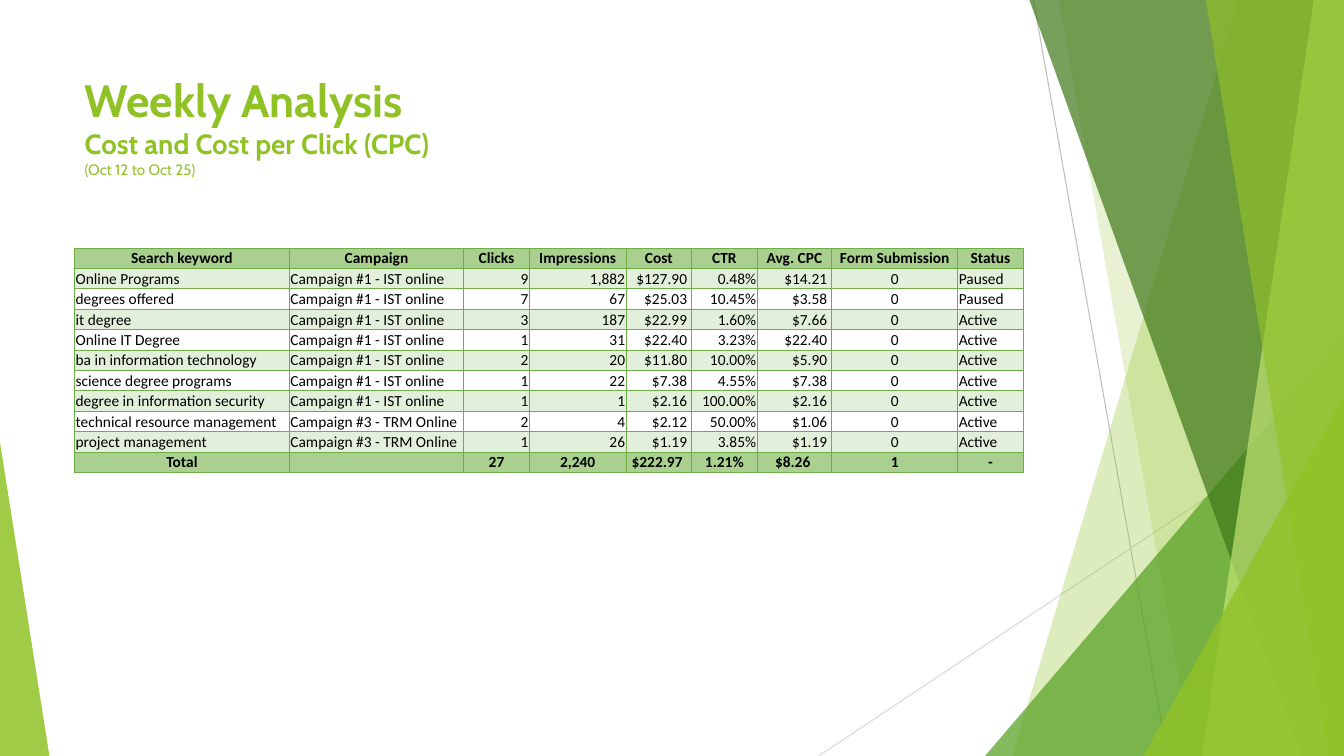
from lxml import etree
from pptx import Presentation
from pptx.dml.color import RGBColor
from pptx.enum.shapes import MSO_CONNECTOR, MSO_SHAPE
from pptx.enum.text import MSO_ANCHOR, MSO_AUTO_SIZE, PP_ALIGN
from pptx.oxml.ns import qn
from pptx.util import Inches, Pt

LEFT, CENTER, RIGHT = PP_ALIGN.LEFT, PP_ALIGN.CENTER, PP_ALIGN.RIGHT
TOP, MIDDLE = MSO_ANCHOR.TOP, MSO_ANCHOR.MIDDLE
TRIANGLE = MSO_SHAPE.ISOSCELES_TRIANGLE
STRAIGHT = MSO_CONNECTOR.STRAIGHT
NO_AUTOFIT = MSO_AUTO_SIZE.NONE
TITLE_ONLY = 5
WIDTH, HEIGHT = 13.33, 7.5

COLORS = {
    "lime": "90C226", "green": "54A021", "forest": "3F7819", "pale": "C0E474",
    "gray": "BFBFBF", "light_gray": "D9D9D9", "black": "000000",
    "band": "A9D08E", "stripe": "E2EFDA", "border": "70AD47",
}

TITLE_LINES = [
    ("Weekly Analysis", 32.4, True),
    ("Cost and Cost per Click (CPC)", 19.8, True),
    ("(Oct 12 to Oct 25)", 10.8, False),
]

IST, TRM = "Campaign #1 - IST online", "Campaign #3 - TRM Online"
HEADER = ["Search keyword", "Campaign", "Clicks", "Impressions", "Cost", "CTR",
          "Avg. CPC", "Form Submission", "Status"]
KEYWORDS = [
    ["Online Programs", IST, "9", "1,882", "$127.90 ", "0.48%", "$14.21 ", "0", "Paused"],
    ["degrees offered", IST, "7", "67", "$25.03 ", "10.45%", "$3.58 ", "0", "Paused"],
    ["it degree", IST, "3", "187", "$22.99 ", "1.60%", "$7.66 ", "0", "Active"],
    ["Online IT Degree", IST, "1", "31", "$22.40 ", "3.23%", "$22.40 ", "0", "Active"],
    ["ba in information technology", IST, "2", "20", "$11.80 ", "10.00%", "$5.90 ", "0", "Active"],
    ["science degree programs", IST, "1", "22", "$7.38 ", "4.55%", "$7.38 ", "0", "Active"],
    ["degree in information security", IST, "1", "1", "$2.16 ", "100.00%", "$2.16 ", "0", "Active"],
    ["technical resource management", TRM, "2", "4", "$2.12 ", "50.00%", "$1.06 ", "0", "Active"],
    ["project management", TRM, "1", "26", "$1.19 ", "3.85%", "$1.19 ", "0", "Active"],
]
TOTAL = ["Total", "", "27", "2,240", "$222.97 ", "1.21%", "$8.26 ", "1", "-"]
COLUMN_WIDTHS = [2.13, 1.73, 0.65, 0.96, 0.65, 0.65, 0.74, 1.25, 0.65]
COLUMN_ALIGNS = [LEFT, LEFT, RIGHT, RIGHT, RIGHT, RIGHT, RIGHT, CENTER, LEFT]


class SlideBuilder:
    title_font = "Cabin"
    table_font = "Calibri"
    table_size = 11
    hairline = 0.75
    border_width = 0.5

    def __init__(self, slide):
        self.slide = slide
        self.shapes = slide.shapes

    def color(self, name):
        return RGBColor.from_string(COLORS[name])

    def run(self, paragraph, text, font, size, color, bold):
        run = paragraph.add_run()
        run.text = text
        run.font.name = font
        run.font.size = Pt(size)
        run.font.bold = bold
        run.font.color.rgb = self.color(color)

    def line(self, start, end, color):
        line = self.shapes.add_connector(STRAIGHT, *map(Inches, start + end))
        line.line.color.rgb = self.color(color)
        line.line.width = Pt(self.hairline)
        etree.SubElement(line._element.spPr, qn("a:effectLst"))

    def paint(self, shape, color, opacity):
        """Give a shape a translucent fill without outline or shadow."""
        shape.shadow.inherit = False
        shape.line.fill.background()
        shape.fill.solid()
        shape.fill.fore_color.rgb = self.color(color)
        tint = shape._element.spPr.find(qn("a:solidFill"))[0]
        etree.SubElement(tint, qn("a:alpha"), val=str(opacity * 1000))

    def shard(self, top_x, bottom_x, color, opacity):
        """Fill from a slanted edge to the right side of the slide."""
        corners = [(WIDTH, 0), (WIDTH, HEIGHT), (bottom_x, HEIGHT)]
        outline = self.shapes.build_freeform(Inches(top_x), 0)
        outline.add_line_segments([(Inches(x), Inches(y)) for x, y in corners])
        self.paint(outline.convert_to_shape(), color, opacity)

    def corner_triangle(self, left, top, width, apex, color, opacity):
        """Draw a triangle that stands on the bottom of the slide."""
        triangle = self.shapes.add_shape(
            TRIANGLE, *map(Inches, (left, top, width, HEIGHT - top)))
        triangle.adjustments[0] = apex
        self.paint(triangle, color, opacity)

    def title(self, lines, left, top, width, height):
        title = self.shapes.title
        title.left, title.top, title.width, title.height = map(
            Inches, (left, top, width, height))
        frame = title.text_frame
        frame.auto_size = NO_AUTOFIT
        frame.word_wrap = True
        frame.vertical_anchor = TOP
        paragraph = frame.paragraphs[0]
        paragraph.alignment = LEFT
        for index, (text, size, bold) in enumerate(lines):
            if index:
                paragraph.add_line_break()
            self.run(paragraph, text, self.title_font, size, "lime", bold)

    def cell(self, cell, text, align, fill, bold):
        cell.margin_left = cell.margin_right = cell.margin_top = Inches(0.01)
        cell.margin_bottom = 0
        cell.vertical_anchor = MIDDLE
        paragraph = cell.text_frame.paragraphs[0]
        paragraph.alignment = align
        if text:
            self.run(paragraph, text, self.table_font, self.table_size, "black", bold)
        else:
            etree.SubElement(paragraph._p, qn("a:endParaRPr"),
                             sz=str(self.table_size * 100))
        properties = cell._tc.get_or_add_tcPr()
        for side in ("lnL", "lnR", "lnT", "lnB"):
            border = etree.SubElement(properties, qn(f"a:{side}"),
                                      w=str(Pt(self.border_width)))
            solid = etree.SubElement(border, qn("a:solidFill"))
            etree.SubElement(solid, qn("a:srgbClr"), val=COLORS["border"])
        if fill:
            cell.fill.solid()
            cell.fill.fore_color.rgb = self.color(fill)
        else:
            cell.fill.background()

    def table(self, rows, left, top, height):
        table = self.shapes.add_table(
            len(rows), len(COLUMN_WIDTHS), Inches(left), Inches(top),
            Inches(sum(COLUMN_WIDTHS)), Inches(height)).table
        table.first_row = table.horz_banding = False
        for column, width in zip(table.columns, COLUMN_WIDTHS):
            column.width = Inches(width)
        for r, row in enumerate(rows):
            strong = r in (0, len(rows) - 1)
            fill = "band" if strong else "stripe" if r % 2 else None
            for c, text in enumerate(row):
                align = CENTER if strong else COLUMN_ALIGNS[c]
                self.cell(table.cell(r, c), text, align, fill, strong)


def main():
    deck = Presentation()
    deck.slide_width, deck.slide_height = Inches(WIDTH), Inches(HEIGHT)
    page = SlideBuilder(deck.slides.add_slide(deck.slide_layouts[TITLE_ONLY]))

    page.line((10.25, 0), (11.58, HEIGHT), "gray")
    page.line((WIDTH, 4.03), (8.12, HEIGHT), "light_gray")
    page.shard(12.28, 10.04, "lime", 30)
    page.shard(10.5, 11.83, "lime", 20)
    page.corner_triangle(9.77, 3.33, 3.56, 1, "green", 72)
    page.shard(10.21, 12.91, "forest", 70)
    page.shard(13.03, 11.92, "pale", 70)
    page.shard(11.96, 13.18, "lime", 65)
    page.corner_triangle(11.34, 3.93, 1.99, 1, "lime", 80)
    page.corner_triangle(0, 4.39, 0.49, 0, "lime", 85)

    page.title(TITLE_LINES, 0.74, 0.67, 9.4, 0.79)
    page.table([HEADER, *KEYWORDS, TOTAL], 0.74, 2.46, 2.23)
    deck.save("out.pptx")


if __name__ == "__main__":
    main()
